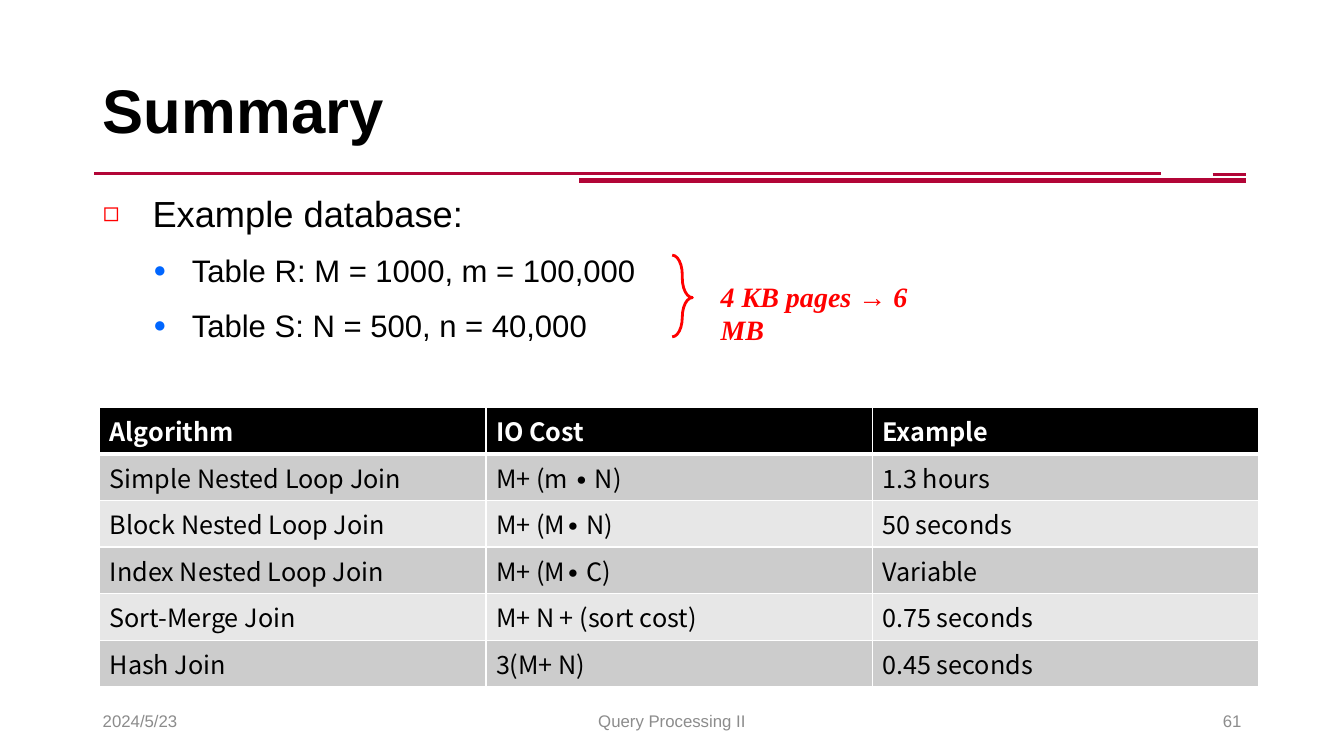
from dataclasses import dataclass
from lxml.etree import SubElement
from pptx import Presentation
from pptx.dml.color import RGBColor
from pptx.enum.shapes import MSO_CONNECTOR as Connector, MSO_SHAPE as Shape
from pptx.enum.text import MSO_ANCHOR as Anchor, MSO_AUTO_SIZE as AutoSize, PP_ALIGN as Align
from pptx.oxml.ns import qn
from pptx.util import Cm, Pt

TITLE = "Summary"
BULLETS = [
    (0, "Example database:"),
    (1, "Table R: M = 1000, m = 100,000"),
    (1, "Table S: N = 500, n = 40,000"),
]
NOTE = "4 KB pages → 6 MB"
COSTS = [
    ("Algorithm", "IO Cost", "Example"),
    ("Simple Nested Loop Join", "M+ (m ∙ N)", "1.3 hours"),
    ("Block Nested Loop Join", "M+ (M∙ N)", "50 seconds"),
    ("Index Nested Loop Join", "M+ (M∙ C)", "Variable"),
    ("Sort-Merge Join", "M+ N + (sort cost)", "0.75 seconds"),
    ("Hash Join", "3(M+ N)", "0.45 seconds"),
]
FOOTERS = [
    ("2024/5/23", 2.34, 7.62, Align.LEFT),
    ("Query Processing II", 11.22, 11.43, Align.CENTER),
    ("61", 23.92, 7.62, Align.RIGHT),
]
RULES = [(2.37, 29.26, 4.37, 2), (14.6, 31.4, 4.55, 4), (30.56, 31.4, 4.4, 2)]


@dataclass(frozen=True)
class Theme:
    black: str = "000000"
    white: str = "FFFFFF"
    rule: str = "B20537"
    accent: str = "FF0000"
    gray: str = "8C8C8C"
    bands: tuple = ("E7E7E7", "CCCCCC")
    sans: str = "Arial"
    serif: str = "Times New Roman"
    table: str = "Noto Sans CJK SC"
    title_size: float = 44
    body_sizes: tuple = (25.9, 22.2)
    note_size: float = 20
    table_size: float = 18
    footer_size: float = 12


THEME = Theme()
LEVELS = [
    {"indent": (1.25, -1.25), "symbol": "◻", "color": THEME.accent, "scale": "75000"},
    {"indent": (2.24, -0.97), "symbol": "●", "color": "0066FF", "scale": "70000"},
]


def set_values(target, values):
    for name, value in values.items():
        setattr(target, name, value)


def write(paragraph, text, font, size, color, **styles):
    run = paragraph.add_run()
    run.text = text
    set_values(run.font, {"name": font, "size": Pt(size), **styles})
    run.font.color.rgb = RGBColor.from_string(color)


def place(shape, left, top, width, height):
    set_values(shape, {"left": Cm(left), "top": Cm(top),
                       "width": Cm(width), "height": Cm(height)})


def add_color(parent, color):
    fill = SubElement(parent, qn("a:solidFill"))
    SubElement(fill, qn("a:srgbClr"), val=color)


def add_bullet(paragraph, style):
    properties = paragraph._p.get_or_add_pPr()
    for name, length in zip(("marL", "indent"), style["indent"]):
        properties.set(name, str(int(Cm(length))))
    color = SubElement(properties, qn("a:buClr"))
    SubElement(color, qn("a:srgbClr"), val=style["color"])
    SubElement(properties, qn("a:buSzPct"), val=style["scale"])
    SubElement(properties, qn("a:buFont"), typeface=THEME.sans)
    SubElement(properties, qn("a:buChar"), char=style["symbol"])


def add_borders(cell, row):
    properties = cell._tc.get_or_add_tcPr()
    widths = {"L": 1, "R": 1, "T": 3 if row == 1 else 1, "B": 3 if row == 0 else 1}
    for side, width in widths.items():
        line = SubElement(properties, qn(f"a:ln{side}"), w=str(int(Pt(width))))
        add_color(line, THEME.white)


def add_rules(slide):
    for start, end, height, width in RULES:
        rule = slide.shapes.add_connector(
            Connector.STRAIGHT, Cm(start), Cm(height), Cm(end), Cm(height))
        rule.line.color.rgb = RGBColor.from_string(THEME.rule)
        rule.line.width = Pt(width)
        SubElement(rule._element.spPr, qn("a:effectLst"))


def fill_placeholders(slide):
    title, body = slide.placeholders
    place(title, 2.34, 1.02, 29.21, 3.68)
    set_values(title.text_frame, {"vertical_anchor": Anchor.MIDDLE, "auto_size": AutoSize.NONE})
    heading = title.text_frame.paragraphs[0]
    set_values(heading, {"alignment": Align.LEFT, "line_spacing": 0.9})
    write(heading, TITLE, THEME.sans, THEME.title_size, THEME.black, bold=True)

    place(body, 2.34, 4.7, 29.21, 4.09)
    frame = body.text_frame
    frame.auto_size = AutoSize.NONE
    for index, (level, text) in enumerate(BULLETS):
        paragraph = frame.add_paragraph() if index else frame.paragraphs[0]
        add_bullet(paragraph, LEVELS[level])
        set_values(paragraph, {"level": level, "space_before": Pt(12 if index else 0)})
        write(paragraph, text, THEME.sans, THEME.body_sizes[level], THEME.black)


def add_cost_table(slide):
    rows, columns = len(COSTS), len(COSTS[0])
    table = slide.shapes.add_table(
        rows, columns, Cm(2.51), Cm(10.26), Cm(29.21), Cm(6.17)).table
    for row, values in enumerate(COSTS):
        header = row == 0
        for column, text in enumerate(values):
            cell = table.cell(row, column)
            add_borders(cell, row)
            cell.fill.solid()
            fill = THEME.black if header else THEME.bands[row % 2]
            cell.fill.fore_color.rgb = RGBColor.from_string(fill)
            write(cell.text_frame.paragraphs[0], text, THEME.table, THEME.table_size,
                  THEME.white if header else THEME.black, bold=header)


def add_text_box(slide, box, text, font, size, color, frame_values, align=Align.LEFT, **styles):
    shape = slide.shapes.add_textbox(*map(Cm, box))
    set_values(shape.text_frame, {"word_wrap": True, **frame_values})
    paragraph = shape.text_frame.paragraphs[0]
    paragraph.alignment = align
    write(paragraph, text, font, size, color, **styles)


def add_page_note(slide):
    brace = slide.shapes.add_shape(
        Shape.RIGHT_BRACE, Cm(16.94), Cm(6.43), Cm(0.51), Cm(2.06))
    brace.shadow.inherit = False
    brace.adjustments[0], brace.adjustments[1] = 4.83, 0.52
    brace.fill.background()
    brace.line.color.rgb = RGBColor.from_string(THEME.accent)
    brace.line.width = Pt(2)
    add_text_box(slide, (17.91, 6.91, 6.4, 1.12), NOTE, THEME.serif, THEME.note_size,
                 THEME.accent, {"auto_size": AutoSize.SHAPE_TO_FIT_TEXT},
                 bold=True, italic=True)


def main():
    presentation = Presentation()
    set_values(presentation, {"slide_width": Cm(33.87), "slide_height": Cm(19.05)})
    slide = presentation.slides.add_slide(presentation.slide_layouts[1])
    fill_placeholders(slide)
    add_rules(slide)
    add_cost_table(slide)
    for text, left, width, align in FOOTERS:
        add_text_box(slide, (left, 17.65, width, 1.02), text, THEME.sans, THEME.footer_size,
                     THEME.gray, {"vertical_anchor": Anchor.MIDDLE}, align)
    add_page_note(slide)
    presentation.save("out.pptx")


if __name__ == "__main__":
    main()
